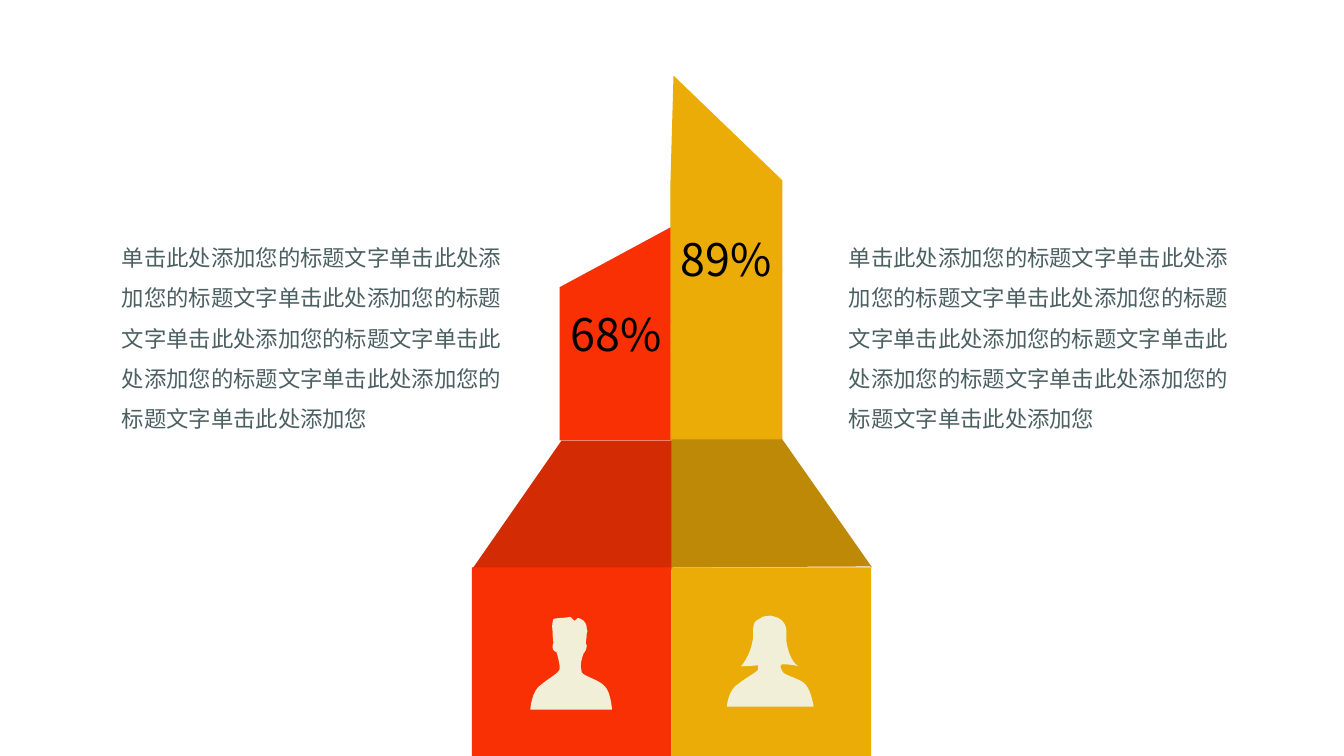
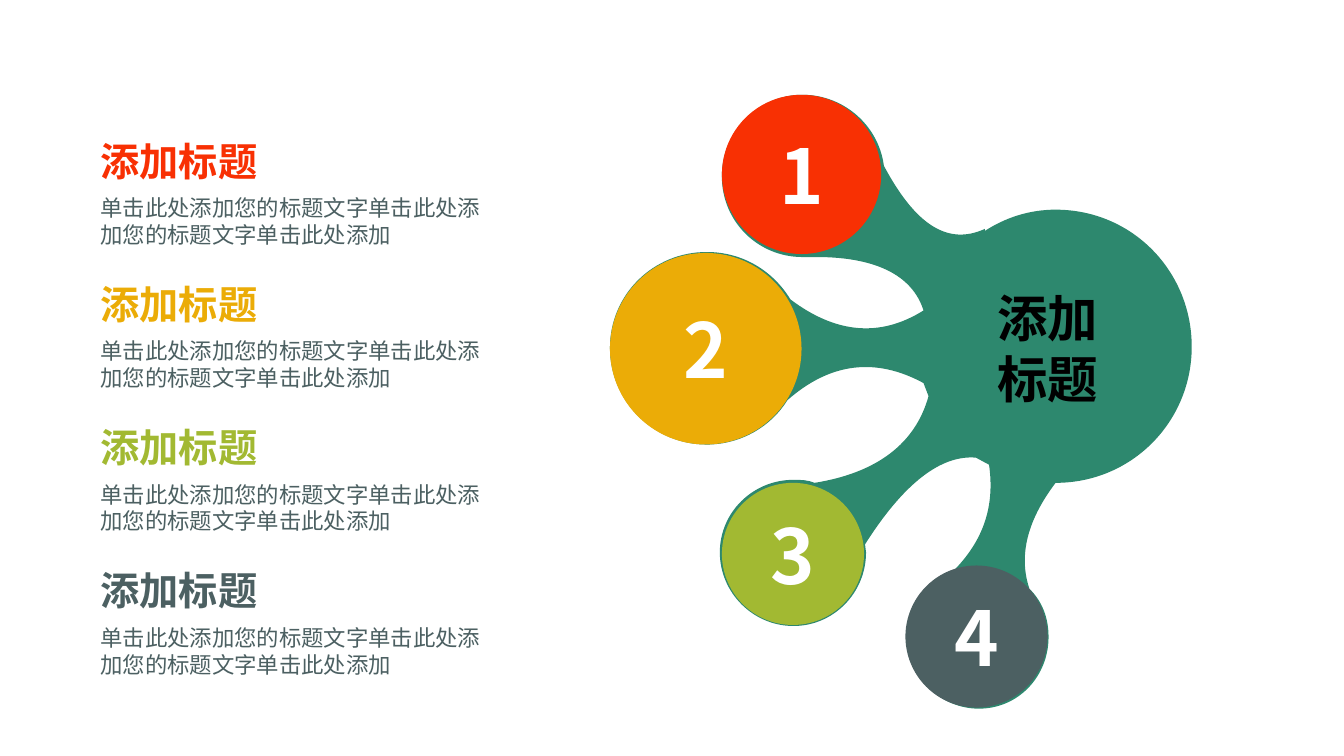
from pptx import Presentation
from pptx.dml.color import RGBColor
from pptx.enum import shapes, text
from pptx.oxml import ns
from pptx.util import Inches, Pt
from lxml import etree

FONT = "Noto Sans CJK SC"
COLORS = {
    "red": "F83003", "dark_red": "D32B03",
    "amber": "EBAC07", "dark_amber": "BE8906",
    "lime": "A2B932", "slate": "4C6062", "green": "2D886E",
    "cream": "F1EFD7", "black": "000000", "white": "FFFFFF",
}
STYLES = {
    "body": {"size": Pt(16), "bold": False},
    "percent": {"size": Pt(32), "bold": False},
    "heading": {"size": Pt(28), "bold": True},
    "hub": {"size": Pt(36), "bold": True},
    "number": {"size": Pt(54), "bold": True},
}
PHRASE = "单击此处添加您的标题文字"

# Outlines start at a point; two numbers are a line, six are a Bezier curve.
MAN = [
    (.74, .69), (.68, .62, .53, .59, .51, .55), (.51, .53, .5, .51, .5, .49),
    (.5, .43, .53, .36, .53, .36), (.53, .36, .54, .35, .55, .33),
    (.56, .31, .56, .28, .56, .28), (.56, .28, .55, .27, .55, .26),
    (.55, .24, .56, .21, .56, .16),
    (.57, .15, .57, .14, .56, .12), (.56, .04, .51, .02, .47, .01),
    (.44, .04), (.4, 0), (.37, 0, .35, .01, .32, .01),
    (.27, .01, .23, .02, .23, .02), (.23, .02, .21, .06, .22, .13),
    (.22, .2, .23, .26, .23, .26), (.23, .26, .22, .27, .22, .3),
    (.22, .34, .26, .35, .26, .35), (.26, .35, .3, .48, .29, .52),
    (.28, .56, .18, .61, .11, .67), (.01, .73, 0, .92, 0, .92),
    (.81, .92), (.81, .92, .8, .75, .74, .69),
]
WOMAN = [
    (.78, .69), (.73, .63, .56, .6, .55, .56), (.55, .55, .53, .53, .53, .51),
    (.54, .51, .54, .5, .54, .49), (.65, .49, .71, .51, .71, .51),
    (.71, .51, .62, .47, .59, .26), (.59, .24, .59, .19, .59, .15),
    (.58, .06, .52, .03, .48, .02), (.45, .01, .42, 0, .4, .01),
    (.37, .01, .35, .02, .32, .04), (.26, .06, .26, .12, .26, .17),
    (.26, .18, .26, .21, .26, .23), (.23, .42, .14, .51, .14, .51),
    (.14, .51, .21, .51, .31, .5), (.31, .51, .31, .53, .31, .54),
    (.3, .57, .19, .62, .12, .68), (.01, .74, 0, .91, 0, .91),
    (.86, .91), (.86, .91, .84, .76, .78, .69),
]
SPLASH = [
    (1.91, 0), (2.33, 0, 2.68, .32, 2.72, .73), (2.72, .71),
    (3.03, 1.29, 3.35, 1.5, 3.72, 1.33), (3.72, 1.35),
    (3.92, 1.22, 4.16, 1.14, 4.42, 1.14), (5.18, 1.14, 5.77, 1.75, 5.77, 2.5),
    (5.77, 3.24, 5.18, 3.85, 4.42, 3.85), (4.14, 4.22, 4.05, 4.57, 4.16, 4.9),
    (4.29, 5.03, 4.35, 5.19, 4.35, 5.38), (4.35, 5.77, 4.05, 6.09, 3.66, 6.09),
    (3.27, 6.09, 2.95, 5.77, 2.95, 5.38), (2.95, 5.08, 3.15, 4.82, 3.42, 4.72),
    (3.4, 4.73), (3.7, 4.43, 3.82, 4.09, 3.76, 3.67), (3.63, 3.6),
    (3.28, 3.57, 2.91, 3.86, 2.53, 4.46), (2.54, 4.54),
    (2.54, 4.94, 2.22, 5.27, 1.82, 5.27), (1.42, 5.27, 1.09, 4.94, 1.09, 4.54),
    (1.09, 4.14, 1.42, 3.82, 1.82, 3.82), (1.89, 3.82, 1.96, 3.82, 2.03, 3.85),
    (2.65, 3.75, 3.03, 3.46, 3.16, 2.99), (3.11, 2.86),
    (2.63, 2.6, 2.18, 2.66, 1.76, 3.03),
    (1.6, 3.29, 1.3, 3.47, .96, 3.47), (.43, 3.47, 0, 3.04, 0, 2.51),
    (0, 1.98, .43, 1.56, .96, 1.56), (1.32, 1.56, 1.62, 1.75, 1.79, 2.03),
    (2.24, 2.37, 2.68, 2.41, 3.11, 2.14), (3, 1.79, 2.63, 1.6, 2, 1.61),
    (1.91, 1.61), (1.47, 1.61, 1.11, 1.26, 1.11, .81),
    (1.11, .36, 1.47, 0, 1.91, 0),
]


def paint(shape, color):
    shape.shadow.inherit = False
    shape.fill.solid()
    shape.fill.fore_color.rgb = RGBColor.from_string(COLORS[color])
    shape.line.fill.background()


def write(shape, words, style, color, centered=False, spacing=None):
    frame = shape.text_frame
    frame.text = words
    frame.word_wrap = True
    for paragraph in frame.paragraphs:
        paragraph.alignment = text.PP_ALIGN.CENTER if centered else text.PP_ALIGN.LEFT
        paragraph.line_spacing = spacing
        for run in paragraph.runs:
            for key, value in {"name": FONT, **STYLES[style]}.items():
                setattr(run.font, key, value)
            run.font.color.rgb = RGBColor.from_string(COLORS[color])
            east_asian = etree.SubElement(run.font._element, ns.qn("a:ea"))
            east_asian.set("typeface", FONT)


def label_shape(shape, words, style, color):
    """Centre words in a filled shape, using its full width."""
    frame = shape.text_frame
    for side in ("left", "right", "top", "bottom"):
        setattr(frame, f"margin_{side}", 0)
    frame.vertical_anchor = text.MSO_ANCHOR.MIDDLE
    write(shape, words, style, color, centered=True)


def add_text(slide, left, top, width, height, *content, **options):
    box = slide.shapes.add_textbox(*map(Inches, (left, top, width, height)))
    write(box, *content, **options)
    box.text_frame.auto_size = text.MSO_AUTO_SIZE.SHAPE_TO_FIT_TEXT


def add_preset(slide, kind, left, top, width, height, color):
    shape = slide.shapes.add_shape(kind, *map(Inches, (left, top, width, height)))
    paint(shape, color)
    return shape


def bend(shape, segments):
    """Join each three lines that stand for a curve into one Bezier curve."""
    lines = iter(list(shape._element.iter(ns.qn("a:lnTo"))))
    for segment in segments:
        first = next(lines)
        if len(segment) == 6:
            first.tag = ns.qn("a:cubicBezTo")
            for line in (next(lines), next(lines)):
                first.append(line[0])
                line.getparent().remove(line)


def add_outline(slide, left, top, outline, color):
    points = [(Inches(left + x), Inches(top + y))
              for segment in outline for x, y in zip(segment[::2], segment[1::2])]
    builder = slide.shapes.build_freeform(*points[0])
    builder.add_line_segments(points[1:], close=True)
    shape = builder.convert_to_shape()
    bend(shape, outline[1:])
    paint(shape, color)
    return shape


def add_tower(slide, left, top):
    pillars = [
        ("68%", "red", [(1.98, 2.1), (1.98, 3.62), (.87, 3.62), (.87, 2.1), (2, 1.49)]),
        ("89%", "amber", [(1.97, 1.04), (1.97, 3.63), (3.08, 3.63), (3.08, 1.04), (2, 0)]),
    ]
    for percent, color, outline in pillars:
        pillar = add_outline(slide, left, top, outline, color)
        label_shape(pillar, percent, "percent", "black")

    slopes = [
        ("dark_red", [(0, 4.9), (.89, 3.62), (1.99, 3.62), (1.99, 4.9), (.02, 4.89)]),
        ("dark_amber", [(3.97, 4.88), (3.08, 3.61), (1.98, 3.61), (1.98, 4.88),
                        (3.95, 4.87)]),
    ]
    for color, outline in slopes:
        add_outline(slide, left, top, outline, color)

    for x, color in ((0, "red"), (1.98, "amber")):
        add_preset(slide, shapes.MSO_SHAPE.RECTANGLE, left + x, top + 4.88, 1.98, 1.87, color)
    for x, y, person in ((.58, 5.37, MAN), (2.53, 5.35, WOMAN)):
        add_outline(slide, left + x, top + y, person, "cream")


def add_splash(slide, left, top):
    add_outline(slide, left, top, SPLASH, "green")
    bubbles = [(1.11, 0, 1.58, "red"), (0, 1.57, 1.9, "amber"),
               (1.11, 3.85, 1.41, "lime"), (2.93, 4.67, 1.41, "slate")]
    for number, (x, y, size, color) in enumerate(bubbles, 1):
        bubble = add_preset(slide, shapes.MSO_SHAPE.OVAL, left + x, top + y, size, size, color)
        label_shape(bubble, str(number), "number", "white")
    add_text(slide, left + 3.1, top + 1.86, 2.48, 1.31, "添加\n标题", "hub", "black",
             centered=True)


def add_topics(slide, left, top, pitch):
    for row, color in enumerate(("red", "amber", "lime", "slate")):
        y = top + row * pitch
        add_text(slide, left, y, 2.48, .57, "添加标题", "heading", color)
        add_text(slide, left, y + .57, 4.14, .64, PHRASE * 2 + "单击此处添加", "body", "slate")


def build_comparison(slide):
    add_tower(slide, 4.68, .75)
    for left in (1.11, 8.32):
        add_text(slide, left, 2.24, 4.14, 2.12, PHRASE * 6 + "单击此处添加您", "body", "slate",
                 spacing=1.5)


def build_topics(slide):
    add_splash(slide, 6.05, .94)
    add_topics(slide, .9, 1.31, 1.42)


def main():
    deck = Presentation()
    deck.slide_width, deck.slide_height = Inches(13.33), Inches(7.5)
    blank = deck.slide_layouts[6]
    for build in (build_comparison, build_topics):
        build(deck.slides.add_slide(blank))
    deck.save("out.pptx")


if __name__ == "__main__":
    main()
